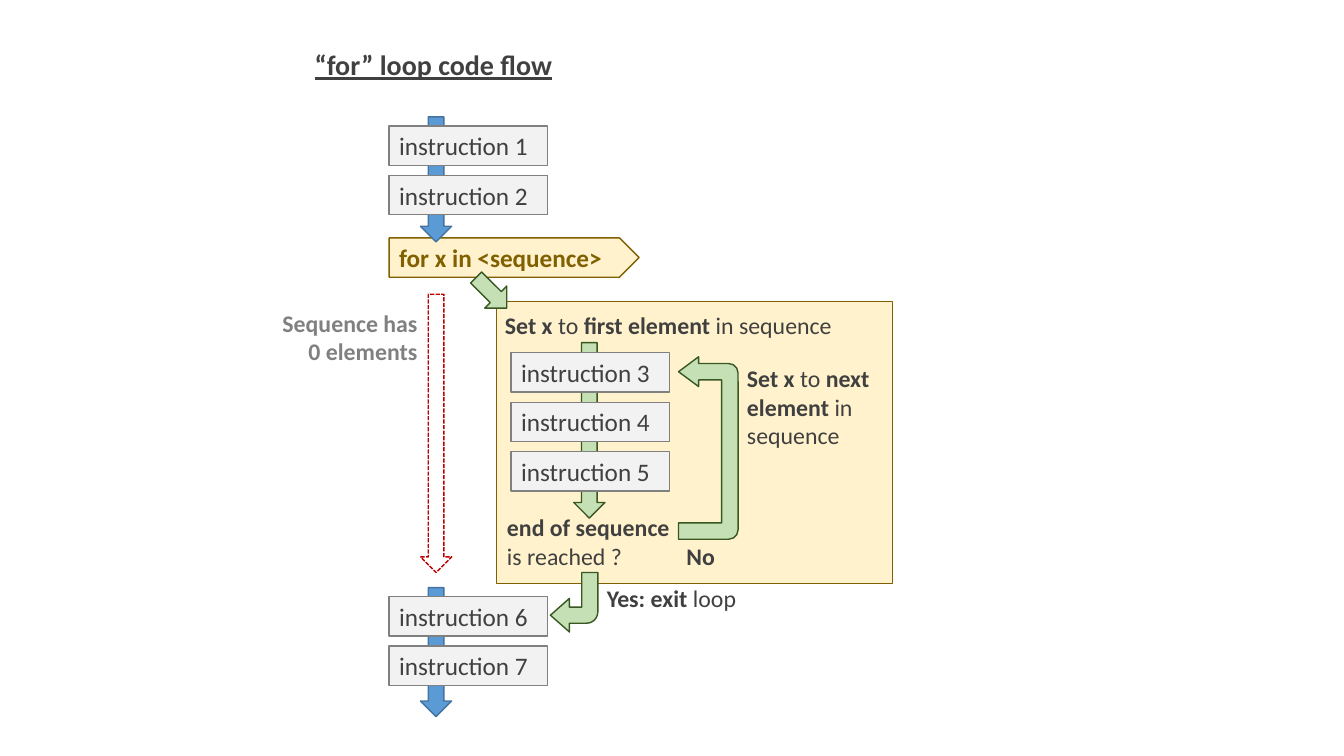
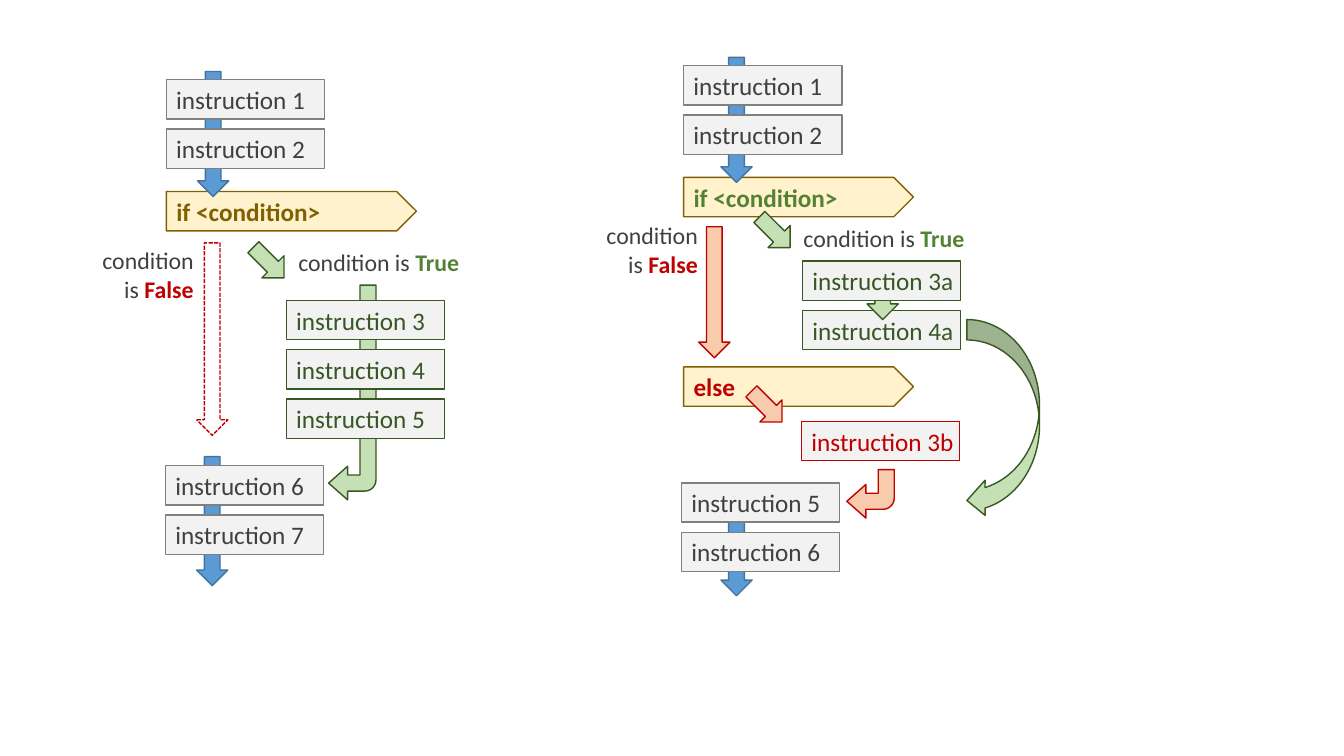
from pptx import Presentation
from pptx import util as u
from pptx.dml.color import RGBColor
from pptx.enum import dml, shapes, text

COLORS = {
    "ink": "404040", "gray": "808080", "pale": "F2F2F2",
    "cream": "FFF2CC", "brown": "806000",
    "sky": "5B9BD5", "blue": "43739E",
    "mint": "C5E0B4", "forest": "385723", "green": "548235",
    "peach": "F8CBAD", "red": "C00000",
}
# Each style is a fill and a line colour
STYLES = {
    "plain": ("pale", "gray"), "yes": ("pale", "forest"), "no": ("pale", "red"),
    "keyword": ("cream", "brown"), "flow": ("sky", "blue"),
    "branch": ("mint", "forest"), "else": ("peach", "red"), "skip": (None, "red"),
}
STEP_WIDTH, STEP_HEIGHT, STEP_PITCH = 1.57, 0.39, 0.49
BEND = (0.339, 0.355, 0.401, 0.236)
RECT = shapes.MSO_SHAPE.RECTANGLE
PLATE = shapes.MSO_SHAPE.PENTAGON
DOWN = shapes.MSO_SHAPE.DOWN_ARROW
BENT = shapes.MSO_SHAPE.BENT_ARROW
UTURN = shapes.MSO_SHAPE.U_TURN_ARROW
CURVED = shapes.MSO_SHAPE.CURVED_RIGHT_ARROW
LEFT, RIGHT = text.PP_ALIGN.LEFT, text.PP_ALIGN.RIGHT


def write(frame, runs, size, align=LEFT):
    """Fill a text frame with (words, colour, bold) runs."""
    frame.word_wrap = True
    paragraph = frame.paragraphs[0]
    paragraph.alignment = align
    for words, color, bold in runs:
        run = paragraph.add_run()
        run.text = words
        run.font.name = "Calibri"
        run.font.size = u.Pt(size)
        run.font.bold = bold
        run.font.color.rgb = RGBColor.from_string(COLORS[color])


def add_block(slide, kind, box, style, runs=(), rotation=0, flip="", adjust=()):
    shape = slide.shapes.add_shape(kind, *map(u.Inches, box))
    shape.shadow.inherit = False
    fill, line = STYLES[style]
    if fill:
        shape.fill.solid()
        shape.fill.fore_color.rgb = RGBColor.from_string(COLORS[fill])
    else:
        shape.fill.background()
        shape.line.dash_style = dml.MSO_LINE.SQUARE_DOT
    shape.line.color.rgb = RGBColor.from_string(COLORS[line])
    shape.line.width = u.Pt(1)
    shape.rotation = rotation
    for axis in flip:
        shape.element.spPr.xfrm.set("flip" + axis, "1")
    for index, value in enumerate(adjust):
        shape.adjustments[index] = value
    if runs:
        frame = shape.text_frame
        frame.margin_right = frame.margin_top = frame.margin_bottom = 0
        frame.vertical_anchor = text.MSO_ANCHOR.MIDDLE
        write(frame, runs, 18)
    return shape


presentation = Presentation()
presentation.slide_width = u.Inches(13.33)
presentation.slide_height = u.Inches(7.5)

TRUE_RUNS = [("condition is ", "ink", False), ("True", "green", True)]
FALSE_RUNS = [("condition is ", "ink", False), ("False", "red", True)]

# "for" loop: bases, arrows, steps (left, top, style, colour, names), labels
for_loop = {
    "bases": [
        (RECT, (4.92, 2.99, 3.93, 2.8), "keyword"),
        (PLATE, (3.86, 2.36, 2.48, 0.39), "keyword",
         [("for x in <sequence>", "brown", True)]),
    ],
    "arrows": [
        (DOWN, (5.69, 3.4, 0.31, 1.74), "branch"),
        (DOWN, (4.17, 5.83, 0.31, 1.28), "flow"),
        (DOWN, (4.17, 1.16, 0.31, 1.24), "flow"),
        (UTURN, (6.12, 4.15, 1.81, 0.59), "branch", (), 270, "V",
         (0.276, 0.25, 0.336, 0.16, 1)),
        (BENT, (5.46, 5.68, 0.47, 0.59), "branch", (), 0, "HV", BEND),
        (DOWN, (4.72, 2.69, 0.31, 0.43), "branch", (), 315),
        (DOWN, (4.17, 2.92, 0.31, 2.76), "skip"),
    ],
    "steps": [
        (3.86, 1.25, "plain", "ink", "12"),
        (5.07, 3.5, "plain", "ink", "345"),
        (3.86, 5.92, "plain", "ink", "67"),
    ],
    "labels": [
        ((4.93, 5.04, 1.99, 0.67), LEFT,
         [("end of sequence ", "ink", True), ("is reached ?", "ink", False)]),
        ((7.31, 3.56, 1.49, 0.96), LEFT,
         [("Set x ", "ink", True), ("to", "ink", False),
          (" next element ", "ink", True), ("in sequence", "ink", False)]),
        ((4.91, 3.03, 3.46, 0.39), LEFT,
         [("Set x ", "ink", True), ("to", "ink", False),
          (" first element ", "ink", True), ("in sequence", "ink", False)]),
        ((2.69, 3.01, 1.55, 0.67), RIGHT, [("Sequence has 0 elements", "gray", True)]),
        ((5.92, 5.74, 1.77, 0.39), LEFT,
         [("Yes: exit ", "ink", True), ("loop", "ink", False)]),
        ((6.71, 5.32, 0.75, 0.39), LEFT, [("No", "ink", True)]),
    ],
}

# "if" on the left, "if / else" on the right
conditions = {
    "bases": [
        (PLATE, (1.65, 1.9, 2.48, 0.39), "keyword", [("if <condition>", "brown", True)]),
        (PLATE, (6.78, 1.76, 2.28, 0.39), "keyword", [("if <condition>", "green", True)]),
        (PLATE, (6.78, 3.64, 2.28, 0.39), "keyword", [("else", "red", True)]),
        # This step lies under the arrow that points to it
        (RECT, (7.96, 3.08, STEP_WIDTH, STEP_HEIGHT), "yes",
         [("instruction 4a", "forest", False)]),
    ],
    "arrows": [
        (BENT, (3.26, 2.83, 0.47, 2.13), "branch", (), 0, "HV", BEND),
        (DOWN, (1.95, 4.53, 0.31, 1.28), "flow"),
        (DOWN, (1.96, 0.71, 0.31, 1.24), "flow"),
        (DOWN, (1.95, 2.41, 0.31, 1.91), "skip"),
        (DOWN, (2.51, 2.39, 0.31, 0.43), "branch", (), 315),
        (DOWN, (7.15, 4.92, 0.31, 0.99), "flow"),
        (DOWN, (7.15, 0.57, 0.31, 1.24), "flow"),
        (DOWN, (7.45, 3.82, 0.31, 0.43), "else", (), 315),
        (DOWN, (7.53, 2.09, 0.31, 0.43), "branch", (), 315),
        (BENT, (8.4, 4.66, 0.47, 0.48), "else", (), 0, "HV", BEND),
        (CURVED, (9.59, 3.17, 0.72, 1.97), "branch", (), 180, "V", (0.282, 0.485, 0.25)),
        (DOWN, (8.6, 2.82, 0.31, 0.35), "branch"),
        (DOWN, (6.93, 2.25, 0.31, 1.3), "else"),
    ],
    "steps": [
        (1.65, 0.79, "plain", "ink", "12"),
        (2.84, 2.98, "yes", "forest", "345"),
        (1.64, 4.62, "plain", "ink", "67"),
        (6.78, 0.65, "plain", "ink", "12"),
        (7.96, 2.59, "yes", "forest", ["3a"]),
        (7.95, 4.18, "no", "red", ["3b"]),
        (6.76, 4.79, "plain", "ink", "56"),
    ],
    "labels": [
        ((2.86, 2.41, 1.91, 0.39), LEFT, TRUE_RUNS),
        ((0.75, 2.39, 1.27, 0.67), RIGHT, FALSE_RUNS),
        ((7.87, 2.17, 1.91, 0.39), LEFT, TRUE_RUNS),
        ((5.75, 2.14, 1.27, 0.67), RIGHT, FALSE_RUNS),
    ],
}

# Draw both slides: layout 5 has only a title, layout 6 is blank
for layout, chart in ((5, for_loop), (6, conditions)):
    slide = presentation.slides.add_slide(presentation.slide_layouts[layout])
    blocks = [add_block(slide, *block) for block in chart["bases"] + chart["arrows"]]
    if chart is for_loop:
        blocks[0].line.width = u.Pt(0.75)
    for left, top, style, color, names in chart["steps"]:
        for row, name in enumerate(names):
            box = (left, top + row * STEP_PITCH, STEP_WIDTH, STEP_HEIGHT)
            add_block(slide, RECT, box, style, [("instruction " + name, color, False)])
    for box, align, runs in chart["labels"]:
        label = slide.shapes.add_textbox(*map(u.Inches, box))
        write(label.text_frame, runs, 17, align)

# Title of the loop slide
title = presentation.slides[0].shapes.title
title.left, title.top, title.width, title.height = map(u.Inches, (3.02, 0.42, 3.34, 0.44))
title.text_frame.auto_size = text.MSO_AUTO_SIZE.NONE
title.text_frame.vertical_anchor = text.MSO_ANCHOR.TOP
write(title.text_frame, [("“for” loop code flow", "ink", True)], 20)
title.text_frame.paragraphs[0].runs[0].font.underline = True

presentation.save("out.pptx")
